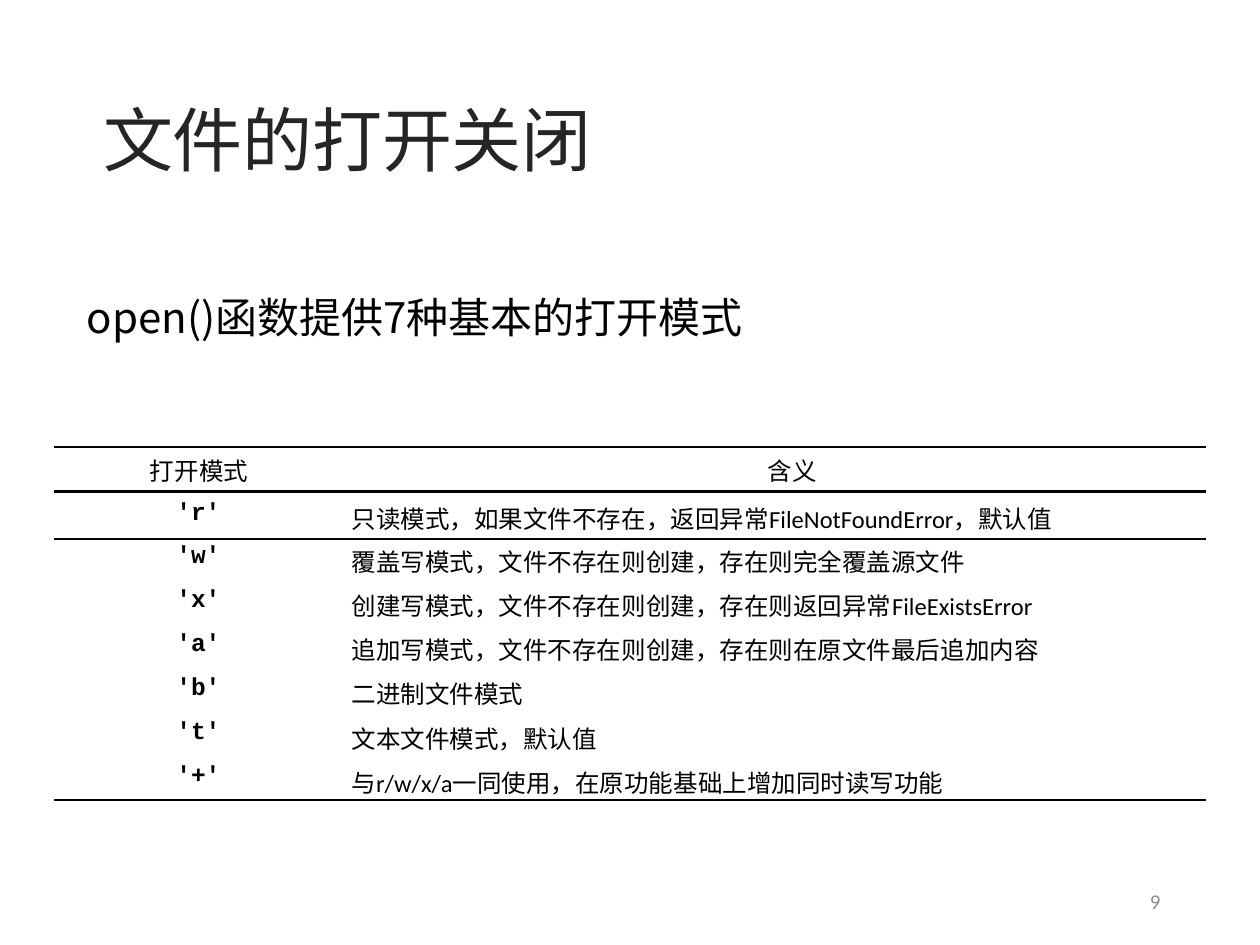
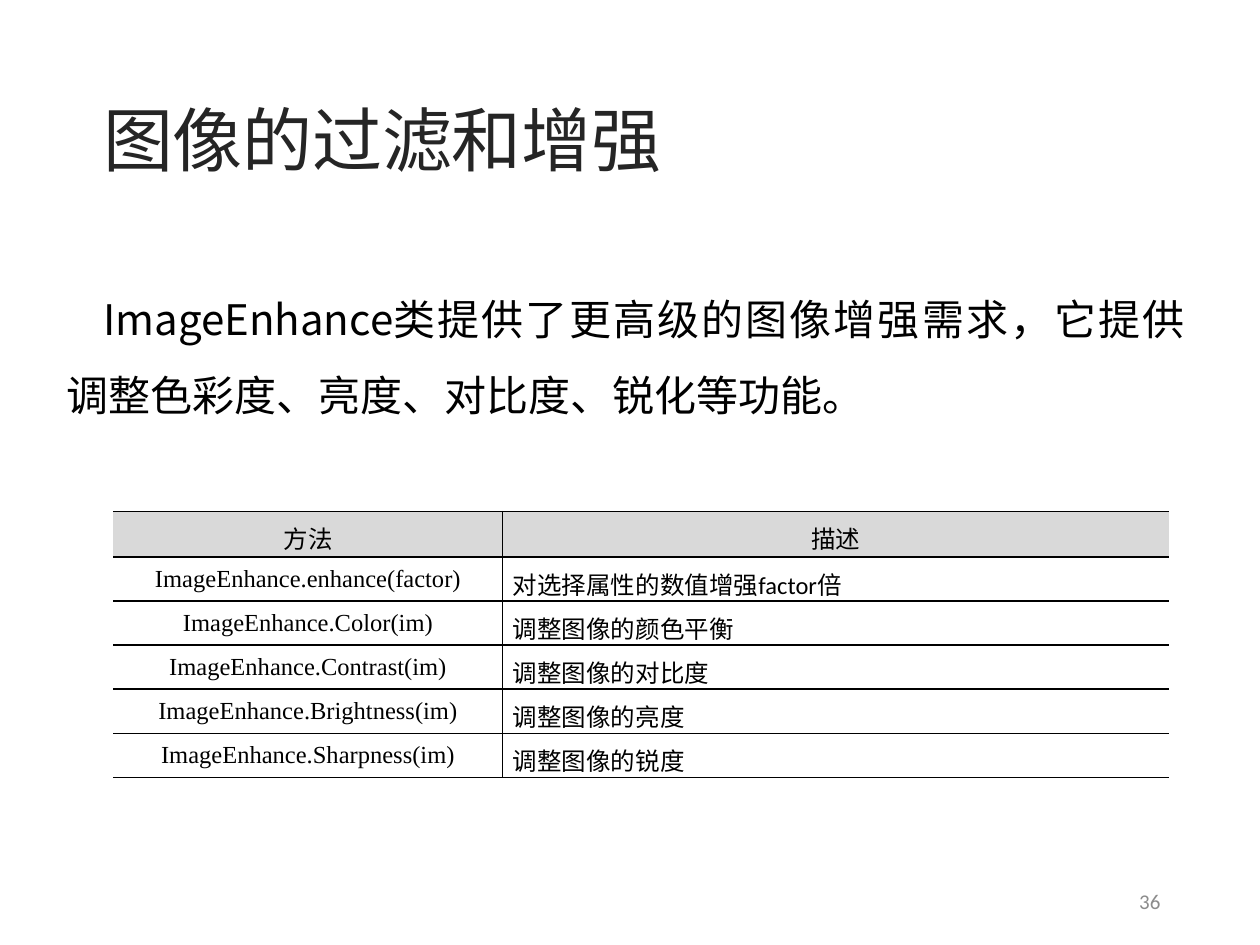
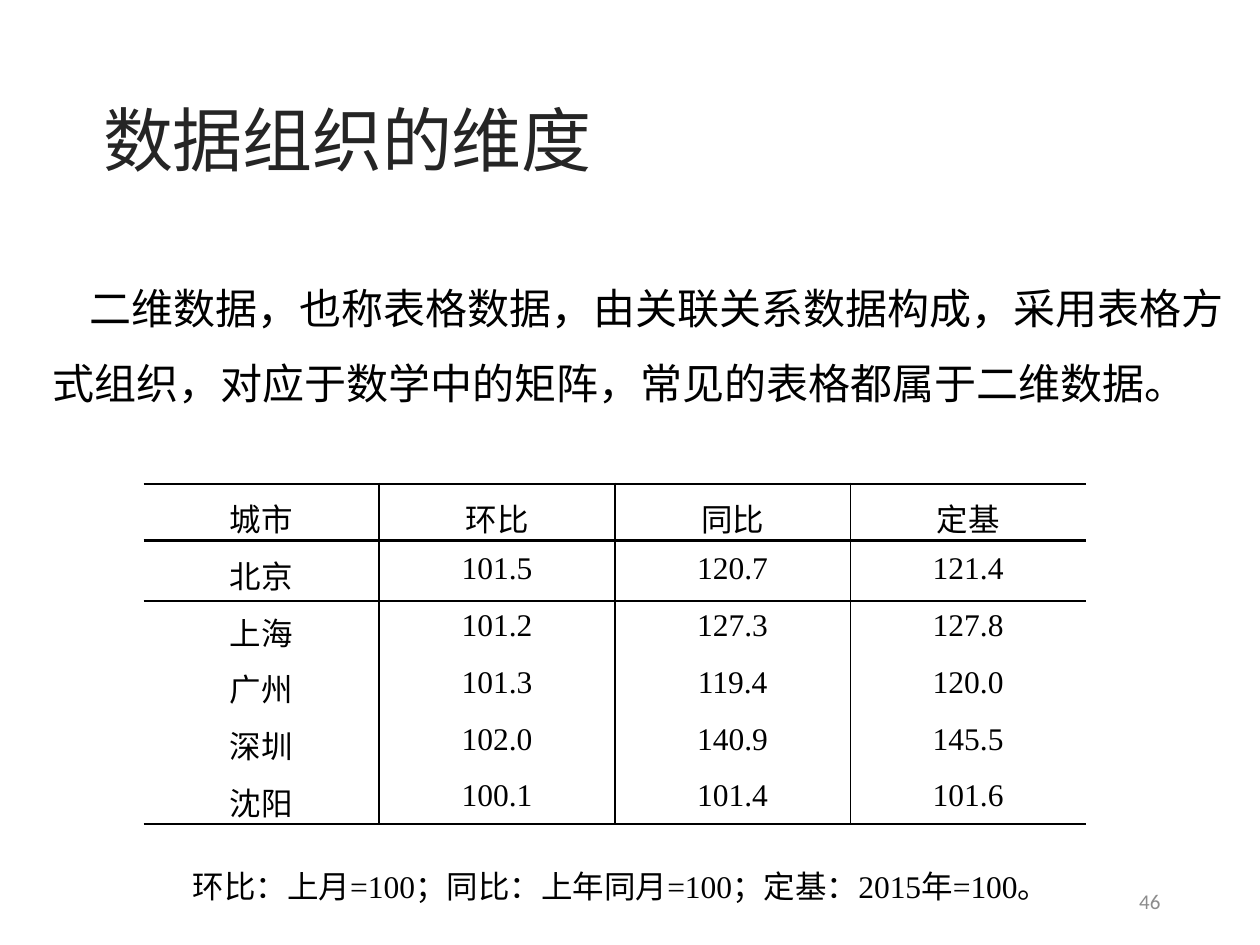
from dataclasses import dataclass
from itertools import groupby

from lxml.etree import SubElement
from pptx import Presentation
from pptx.dml.color import RGBColor as Color
from pptx.enum.text import MSO_ANCHOR as Anchor, PP_ALIGN as Align
from pptx.oxml.ns import qn
from pptx.util import Inches, Pt


@dataclass(frozen=True)
class Theme:
    ink: str = "000000"
    title_ink: str = "252525"
    number_ink: str = "8C8C8C"
    paper: str = "FFFFFF"
    header_grey: str = "D9D9D9"
    sans: str = "Calibri"
    chinese: str = "Noto Sans CJK SC"
    serif: str = "Times New Roman"
    mono: str = "Courier New"
    title_size: int = 40
    body_size: int = 24
    note_size: int = 18
    number_size: int = 12


theme = Theme()


def write_text(frame, pieces, size, latin, color=theme.ink, bold=False, **paragraph_format):
    paragraph = frame.paragraphs[0]
    for name, value in paragraph_format.items():
        setattr(paragraph, name, value)
    for text, spacing in pieces:
        for is_latin, letters in groupby(text, str.isascii):
            run = paragraph.add_run()
            run.text = "".join(letters)
            font_format = {
                "name": latin if is_latin else theme.chinese,
                "size": Pt(size),
                "bold": bold and is_latin,
            }
            for name, value in font_format.items():
                setattr(run.font, name, value)
            run.font.color.rgb = Color.from_string(color)
            properties = run._r.get_or_add_rPr()
            properties.set("spc", str(round(spacing * 100)))
            SubElement(properties, qn("a:ea"), typeface=theme.chinese)
    return paragraph


def add_text_box(slide, place, pieces, size, latin, anchor=Anchor.TOP, margin=0.01, **text_format):
    frame = slide.shapes.add_textbox(*map(Inches, place)).text_frame
    frame_format = {
        "word_wrap": True,
        "vertical_anchor": anchor,
        "margin_left": Inches(margin),
        "margin_right": Inches(0),
        "margin_top": Inches(0.01),
        "margin_bottom": Inches(0),
    }
    for name, value in frame_format.items():
        setattr(frame, name, value)
    return write_text(frame, pieces, size, latin, **text_format)


pages = [
    {
        "title": "文件的打开关闭",
        "title_width": 3.92,
        "number": "9",
        "body_place": (0.68, 2.3, 5.27, 0.43),
        "body": [("open()函数提供7种基本的打开模式", 0)],
        "body_spacing": 1,
        "first_indent": 0,
        "table_corner": (0.43, 3.55),
        "columns": [1.95, 7.19],
        "heights": [0.35, 0.38] + [0.35] * 5 + [0.32],
        "tops": [0.04, 0.07] + [0.03] * 6,
        "header_lefts": [0.35, 0.63],
        "lefts": [0.34, 0.41],
        "aligns": [Align.CENTER, Align.LEFT],
        "latins": [theme.mono, theme.sans],
        "bolds": [True, False],
        "size": 14,
        "header_fill": theme.paper,
        "rules": {0, 1, 2, 8},
        "rule_width": 1.5,
        "dividers": False,
        "rows": [
            ("打开模式", "含义"),
            ("'r'", "只读模式，如果文件不存在，返回异常FileNotFoundError，默认值"),
            ("'w'", "覆盖写模式，文件不存在则创建，存在则完全覆盖源文件"),
            ("'x'", "创建写模式，文件不存在则创建，存在则返回异常FileExistsError"),
            ("'a'", "追加写模式，文件不存在则创建，存在则在原文件最后追加内容"),
            ("'b'", "二进制文件模式"),
            ("'t'", "文本文件模式，默认值"),
            ("'+'", "与r/w/x/a一同使用，在原功能基础上增加同时读写功能"),
        ],
    },
    {
        "title": "图像的过滤和增强",
        "title_width": 4.47,
        "number": "36",
        "body_place": (0.52, 2.12, 8.98, 1.23),
        "body": [
            ("ImageEnhance", 0),
            ("类提供了更高级的图像增强需求，它提供 ", 1.2),
            ("调整色彩度、亮度、对比度、锐化等功能。", 0),
        ],
        "body_spacing": 1.5,
        "first_indent": 0.29,
        "table_corner": (0.9, 4.06),
        "columns": [3.09, 5.29],
        "heights": [0.36] + [0.35] * 5,
        "tops": [0.07] * 6,
        "header_lefts": [0, 0],
        "lefts": [0, 0.08],
        "aligns": [Align.CENTER, Align.LEFT],
        "latins": [theme.serif, theme.sans],
        "bolds": [False, False],
        "size": 14,
        "header_fill": theme.header_grey,
        "rules": set(range(7)),
        "rule_width": 1,
        "dividers": True,
        "rows": [
            ("方法", "描述"),
            ("ImageEnhance.enhance(factor)", "对选择属性的数值增强factor倍"),
            ("ImageEnhance.Color(im)", "调整图像的颜色平衡"),
            ("ImageEnhance.Contrast(im)", "调整图像的对比度"),
            ("ImageEnhance.Brightness(im)", "调整图像的亮度"),
            ("ImageEnhance.Sharpness(im)", "调整图像的锐度"),
        ],
    },
    {
        "title": "数据组织的维度",
        "title_width": 3.92,
        "number": "46",
        "body_place": (0.41, 2.03, 9.36, 1.23),
        "body": [
            ("二维数据，也称表格数据，由关联关系数据构成，采用表格方 "
             "式组织，对应于数学中的矩阵，常见的表格都属于二维数据。", 0),
        ],
        "body_spacing": 1.5,
        "first_indent": 0.29,
        "table_corner": (1.14, 3.84),
        "columns": [1.87] * 4,
        "heights": [0.45, 0.48, 0.45, 0.45, 0.45, 0.42],
        "tops": [0.09] * 2 + [0.06] * 4,
        "header_lefts": [0] * 4,
        "lefts": [0] * 4,
        "aligns": [Align.CENTER] * 4,
        "latins": [theme.serif] * 4,
        "bolds": [False] * 4,
        "size": 18,
        "header_fill": theme.paper,
        "rules": {0, 1, 2, 6},
        "rule_width": 1.5,
        "dividers": True,
        "rows": [
            ("城市", "环比", "同比", "定基"),
            ("北京", "101.5", "120.7", "121.4"),
            ("上海", "101.2", "127.3", "127.8"),
            ("广州", "101.3", "119.4", "120.0"),
            ("深圳", "102.0", "140.9", "145.5"),
            ("沈阳", "100.1", "101.4", "101.6"),
        ],
        "note": "环比：上月=100；同比：上年同月=100；定基：2015年=100。",
    },
]

presentation = Presentation()
presentation.slide_width, presentation.slide_height = Inches(10), Inches(7.5)

for page in pages:
    slide = presentation.slides.add_slide(presentation.slide_layouts[6])
    add_text_box(slide, (0.81, 0.75, page["title_width"], 0.69), [(page["title"], -0.1)],
                 theme.title_size, theme.sans, Anchor.MIDDLE, color=theme.title_ink)
    body = add_text_box(slide, page["body_place"], page["body"], theme.body_size,
                        theme.chinese, line_spacing=page["body_spacing"])
    body._p.get_or_add_pPr().set("indent", str(Inches(page["first_indent"])))

    columns, rows = page["columns"], page["rows"]
    place = (*page["table_corner"], sum(columns), sum(page["heights"]))
    table = slide.shapes.add_table(len(rows), len(columns), *map(Inches, place)).table
    for name in ("first_row", "horz_banding"):
        setattr(table, name, False)
    for column, width in zip(table.columns, columns):
        column.width = Inches(width)
    for row, height in zip(table.rows, page["heights"]):
        row.height = Inches(height)

    for row_index, texts in enumerate(rows):
        is_header = row_index == 0
        lefts = page["header_lefts"] if is_header else page["lefts"]
        for column_index, text in enumerate(texts):
            cell = table.cell(row_index, column_index)
            cell_format = {
                "margin_left": Inches(lefts[column_index]),
                "margin_right": Inches(0),
                "margin_top": Inches(page["tops"][row_index]),
                "margin_bottom": Inches(0),
                "vertical_anchor": Anchor.TOP,
            }
            for name, value in cell_format.items():
                setattr(cell, name, value)
            borders = {
                "a:lnL": (page["dividers"] and column_index > 0, 1),
                "a:lnR": (page["dividers"] and column_index < len(columns) - 1, 1),
                "a:lnT": (row_index in page["rules"], page["rule_width"]),
                "a:lnB": (row_index + 1 in page["rules"], page["rule_width"]),
            }
            for tag, (is_drawn, width) in borders.items():
                line = SubElement(cell._tc.get_or_add_tcPr(), qn(tag), w=str(Pt(width)))
                fill = SubElement(line, qn("a:solidFill" if is_drawn else "a:noFill"))
                if is_drawn:
                    SubElement(fill, qn("a:srgbClr"), val=theme.ink)
            cell.fill.solid()
            cell.fill.fore_color.rgb = Color.from_string(
                page["header_fill"] if is_header else theme.paper)
            write_text(cell.text_frame, [(text, 0)], page["size"], page["latins"][column_index],
                       bold=page["bolds"][column_index],
                       alignment=Align.CENTER if is_header else page["aligns"][column_index])

    if "note" in page:
        add_text_box(slide, (1.52, 6.87, 6.83, 0.33), [(page["note"], 0)],
                     theme.note_size, theme.serif)
    number = add_text_box(slide, (7.06, 6.95, 2.15, 0.4), [(page["number"], 0)],
                          theme.number_size, theme.sans, Anchor.MIDDLE,
                          color=theme.number_ink, alignment=Align.RIGHT)

presentation.save("out.pptx")
